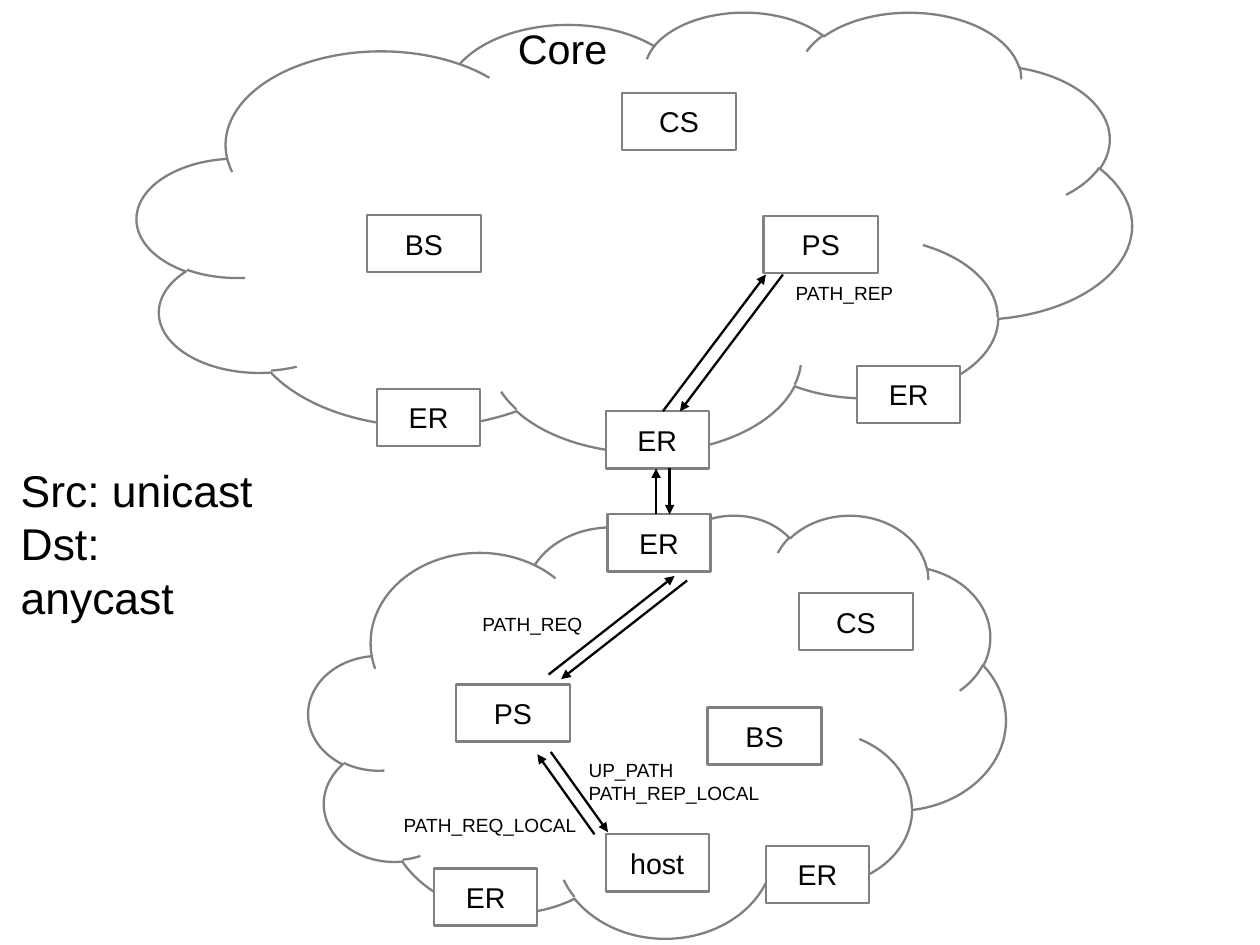
import lxml.etree
import pptx
import pptx.dml.color
import pptx.enum.shapes
import pptx.enum.text
import pptx.oxml.ns
import pptx.util

Cm = pptx.util.Cm
ALIGN = pptx.enum.text.PP_ALIGN
ANCHOR = pptx.enum.text.MSO_ANCHOR
SHAPES = pptx.enum.shapes.MSO_SHAPE


def rgb(code):
    return pptx.dml.color.RGBColor.from_string(code)


def write(text, *, frame, size, color="000000", font="Arial",
          align=ALIGN.LEFT, anchor=ANCHOR.TOP):
    frame.text = text
    frame.word_wrap = False
    frame.auto_size = pptx.enum.text.MSO_AUTO_SIZE.NONE
    frame.vertical_anchor = anchor
    frame.margin_left = frame.margin_right = Cm(0.28)
    frame.margin_top = frame.margin_bottom = Cm(0.15)
    for paragraph in frame.paragraphs:
        paragraph.alignment = align
        paragraph.font.size = pptx.util.Pt(size)
        paragraph.font.name = font
        paragraph.font.color.rgb = rgb(color)


class NetworkSlide:
    paper, outline, ink = "FFFFFF", "808080", "000000"
    stroke = pptx.util.Pt(1.45)

    def __init__(self, deck):
        self.slide = deck.slides.add_slide(deck.slide_layouts[5])

    def title(self, text, left, top, width, height):
        heading = self.slide.shapes.title
        heading.left, heading.top = Cm(left), Cm(top)
        heading.width, heading.height = Cm(width), Cm(height)
        write(text, frame=heading.text_frame, size=28, color=self.ink)

    def outlined(self, preset, left, top, width, height):
        shape = self.slide.shapes.add_shape(
            preset, Cm(left), Cm(top), Cm(width), Cm(height))
        shape.shadow.inherit = False
        shape.fill.solid()
        shape.fill.fore_color.rgb = rgb(self.paper)
        shape.line.color.rgb = rgb(self.outline)
        shape.line.width = self.stroke
        return shape

    def cloud(self, left, top, width, height):
        self.outlined(SHAPES.CLOUD, left, top, width, height)

    def node(self, text, left, top, width):
        box = self.outlined(SHAPES.RECTANGLE, left, top, width, 1.27)
        write(text, frame=box.text_frame, size=18, color=self.ink,
              align=ALIGN.CENTER, anchor=ANCHOR.MIDDLE)

    def label(self, text, left, top, width, height, size=12):
        box = self.slide.shapes.add_textbox(
            Cm(left), Cm(top), Cm(width), Cm(height))
        write(text, frame=box.text_frame, size=size, color=self.ink)

    def arrow(self, start, end):
        link = self.slide.shapes.add_connector(
            pptx.enum.shapes.MSO_CONNECTOR.STRAIGHT,
            *map(Cm, start), *map(Cm, end))
        link.line.color.rgb = rgb(self.ink)
        link.line.width = self.stroke
        qn = pptx.oxml.ns.qn
        lxml.etree.SubElement(link.line._get_or_add_ln(), qn("a:tailEnd"),
                              type="triangle")
        lxml.etree.SubElement(link._element.spPr, qn("a:effectLst"))


ROUTER_WIDTH, SERVER_WIDTH = 2.29, 2.54

NODES = [
    ("ER", ROUTER_WIDTH, [(8.38, 8.64), (13.46, 9.14), (19.05, 8.13),
                          (13.5, 11.43), (9.65, 19.3), (17.02, 18.8)]),
    ("CS", SERVER_WIDTH, [(13.82, 2.06), (17.75, 13.18)]),
    ("BS", SERVER_WIDTH, [(8.15, 4.78), (15.72, 15.72)]),
    ("PS", SERVER_WIDTH, [(16.97, 4.8), (10.13, 15.21)]),
    ("host", ROUTER_WIDTH, [(13.46, 18.54)]),
]

REQUESTS = [
    ((13.21, 18.54), (11.94, 16.76)),
    ((12.19, 14.99), (14.99, 12.8)),
    ((14.58, 11.43), (14.58, 10.41)),
    ((14.73, 9.14), (17.02, 6.1)),
]

REPLIES = [
    ((17.4, 6.1), (15.11, 9.14)),
    ((14.88, 10.41), (14.88, 11.43)),
    ((15.27, 12.9), (12.47, 15.09)),
    ((12.24, 16.71), (13.51, 18.49)),
]

MESSAGES = [
    ("PATH_REQ", 10.44, 13.46, 2.77, 0.79),
    ("PATH_REP", 17.4, 6.1, 2.74, 0.79),
    ("PATH_REQ_LOCAL", 8.69, 17.93, 4.42, 0.79),
    ("UP_PATH\nPATH_REP_LOCAL", 12.8, 16.71, 4.37, 1.24),
]


def main():
    deck = pptx.Presentation()
    deck.slide_width, deck.slide_height = Cm(28), Cm(21)
    network = NetworkSlide(deck)
    network.title("Src: unicast\nDst: anycast", 0.18, 10.14, 5.94, 2.46)
    network.cloud(3.05, 0.25, 22.1, 9.78)
    network.cloud(6.86, 11.43, 15.49, 9.4)
    network.label("Core", 11.23, 0.36, 2.54, 1.32, size=26)
    for name, width, places in NODES:
        for left, top in places:
            network.node(name, left, top, width)
    for start, end in REQUESTS + REPLIES:
        network.arrow(start, end)
    for message in MESSAGES:
        network.label(*message)
    deck.save("out.pptx")


if __name__ == "__main__":
    main()
